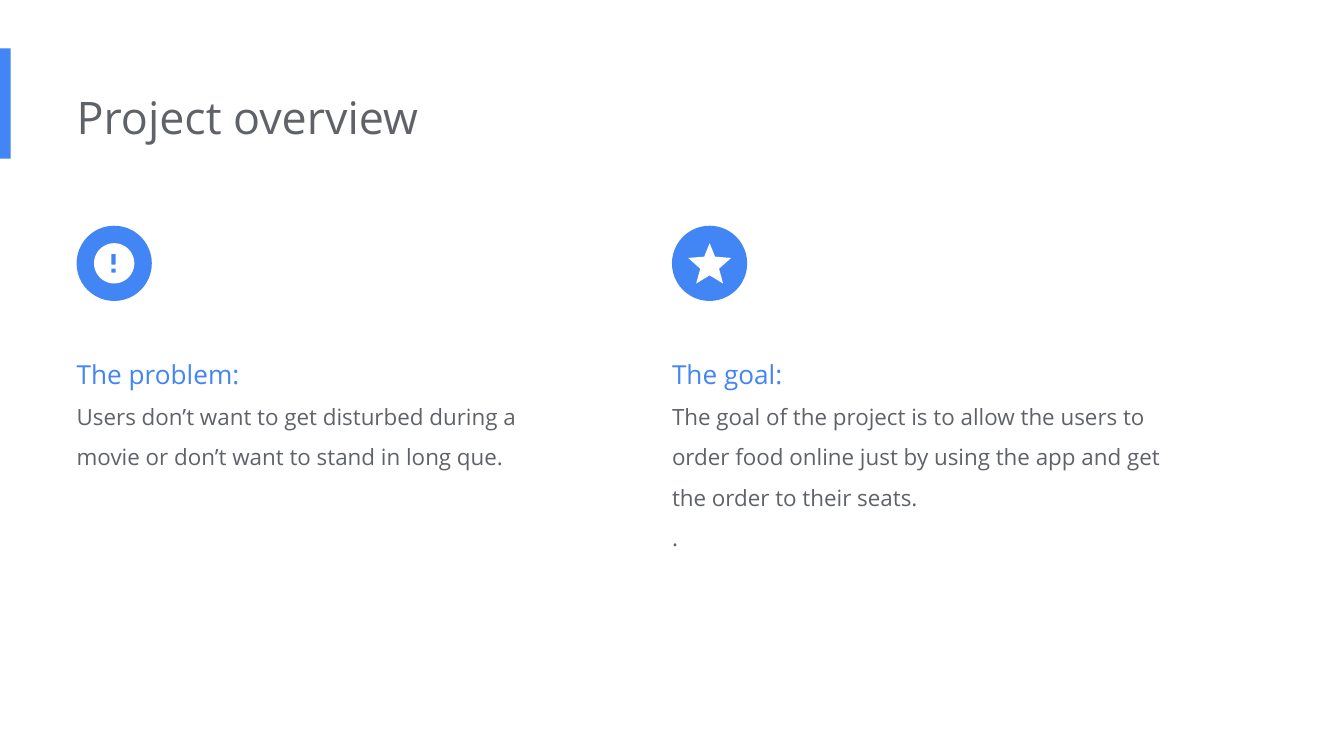
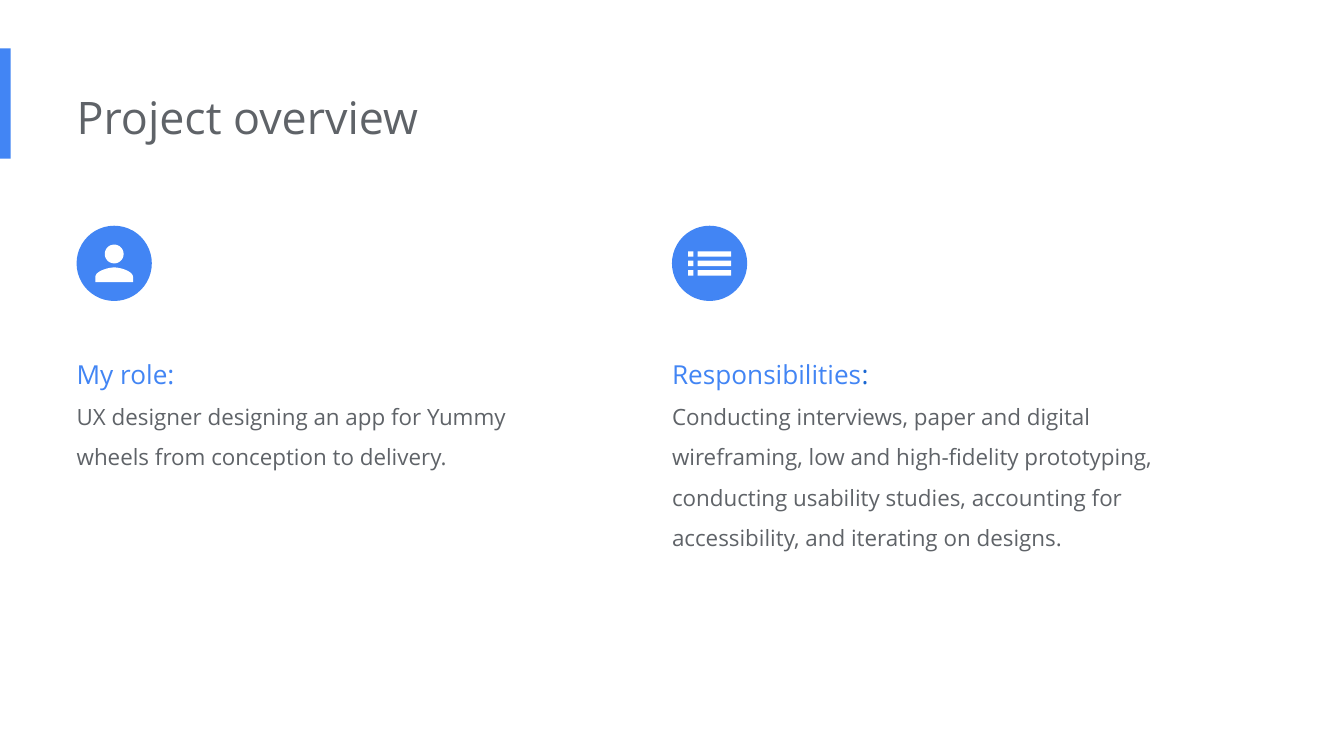
import math
from dataclasses import dataclass

from lxml import etree
from pptx import Presentation
from pptx.dml.color import RGBColor
from pptx.enum.shapes import MSO_SHAPE
from pptx.enum.text import MSO_ANCHOR, MSO_AUTO_SIZE, PP_ALIGN
from pptx.oxml.ns import qn
from pptx.util import Inches, Pt

RECTANGLE, OVAL = MSO_SHAPE.RECTANGLE, MSO_SHAPE.OVAL
TOP, LEFT = MSO_ANCHOR.TOP, PP_ALIGN.LEFT
FIT_SHAPE = MSO_AUTO_SIZE.SHAPE_TO_FIT_TEXT

BLUE = RGBColor(0x42, 0x85, 0xF4)
DARK_BLUE = RGBColor(0x19, 0x67, 0xD2)
GRAY = RGBColor(0x5F, 0x63, 0x68)
WHITE = RGBColor(0xFF, 0xFF, 0xFF)
FONT = "Open Sans"

SLIDE_WIDTH = Inches(10)
SLIDE_HEIGHT = SLIDE_WIDTH * 9 // 16
TWO_CONTENT = 3
COLUMN_LEFTS = (0.57, 5.0)
CIRCLE_TOP, CIRCLE_SIZE = 1.68, 0.56

# Placeholder index: left, top, width, height in inches
FRAMES = {
    0: (0.57, 0.57, 6.73, 0.61),
    1: (COLUMN_LEFTS[0], 2.45, 3.77, 1.16),
    2: (COLUMN_LEFTS[1], 2.45, 3.77, 1.77),
}

Point = tuple[float, float]
Contour = list[Point]


@dataclass(frozen=True)
class Run:
    text: str
    size: int
    color: RGBColor


@dataclass(frozen=True)
class Column:
    icon: list[Contour]
    paragraphs: list[list[Run]]


@dataclass(frozen=True)
class Overview:
    title: str
    columns: tuple[Column, Column]


# Icon outlines, in inches from the centre of their circle
def box(x: float, y: float, w: float, h: float) -> Contour:
    return [(x, y), (x, y + h), (x + w, y + h), (x + w, y)]


def circle(cy: float, radius: float, steps: int = 48) -> Contour:
    angles = [2 * math.pi * i / steps for i in range(steps)]
    return [(radius * math.cos(a), cy + radius * math.sin(a)) for a in angles]


def curve(a: Point, b: Point, c: Point, d: Point, steps: int = 16) -> Contour:
    points = []
    for i in range(steps + 1):
        t = i / steps
        weights = ((1 - t) ** 3, 3 * t * (1 - t) ** 2, 3 * t * t * (1 - t), t ** 3)
        points.append((sum(w * q[0] for w, q in zip(weights, (a, b, c, d))),
                       sum(w * q[1] for w, q in zip(weights, (a, b, c, d)))))
    return points


def mirrored(half: Contour) -> Contour:
    return half + [(-x, y) for x, y in reversed(half)]


ALERT = [circle(0, 0.15), box(-0.02, -0.07, 0.03, 0.08), box(-0.02, 0.04, 0.03, 0.03)]
STAR = [mirrored([(0, 0.09), (0.1, 0.15), (0.07, 0.04),
                  (0.16, -0.04), (0.04, -0.05), (0, -0.15)])]
PERSON = [circle(-0.07, 0.07),
          mirrored(curve((0, 0.03), (0.05, 0.03), (0.14, 0.06), (0.14, 0.1))
                   + [(0.14, 0.14)])]
LIST = [box(x, -0.09 + 0.07 * row, w, 0.04)
        for x, w in ((-0.16, 0.04), (-0.09, 0.25)) for row in range(3)]


# Slide content
def heading(text: str) -> Run:
    return Run(text, 14, BLUE)


def detail(text: str) -> list[Run]:
    return [Run(text, 12, GRAY)]


SLIDES = [
    Overview("Project overview", (
        Column(ALERT, [
            [heading("The problem:")],
            detail("Users don’t want to get disturbed during a movie or "
                   "don’t want to stand in long que."),
        ]),
        Column(STAR, [
            [heading("The goal:")],
            detail("The goal of the project is to allow the users to order food "
                   "online just by using the app and get the order to their seats."),
            detail("."),
        ]),
    )),
    Overview("Project overview", (
        Column(PERSON, [
            [heading("My role:")],
            detail("UX designer designing an app for Yummy wheels from "
                   "conception to delivery."),
        ]),
        Column(LIST, [
            [heading("Responsibilities"), Run(":", 14, DARK_BLUE)],
            detail("Conducting interviews, paper and digital wireframing, low and "
                   "high-fidelity prototyping, conducting usability studies, "
                   "accounting for accessibility, and iterating on designs."),
        ]),
    )),
]


# Drawing
def paint(sp, color: RGBColor) -> None:
    sp.fill.solid()
    sp.fill.fore_color.rgb = color
    sp.line.fill.background()
    sp.shadow.inherit = False


def write(sp, paragraphs: list[list[Run]], spacing: float) -> None:
    tf = sp.text_frame
    tf.word_wrap = True
    tf.auto_size = FIT_SHAPE
    tf.vertical_anchor = TOP
    tf.margin_left = 0
    tf.margin_top = tf.margin_right = tf.margin_bottom = Inches(0.1)
    for i, runs in enumerate(paragraphs):
        p = tf.add_paragraph() if i else tf.paragraphs[0]
        p.alignment = LEFT
        p.line_spacing = spacing
        p.space_before = Pt(0)
        pPr = p._p.get_or_add_pPr()
        pPr.set("marL", "0")
        pPr.set("indent", "0")
        etree.SubElement(pPr, qn("a:buNone"))
        for run in runs:
            r = p.add_run()
            r.text = run.text
            r.font.name = FONT
            r.font.size = Pt(run.size)
            r.font.color.rgb = run.color


def add_icon(slide, left: float, contours: list[Contour]) -> None:
    size = Inches(CIRCLE_SIZE)
    disc = slide.shapes.add_shape(OVAL, Inches(left), Inches(CIRCLE_TOP), size, size)
    paint(disc, BLUE)
    cx, cy = left + CIRCLE_SIZE / 2, CIRCLE_TOP + CIRCLE_SIZE / 2
    placed = [[(Inches(cx + x), Inches(cy + y)) for x, y in c] for c in contours]
    builder = slide.shapes.build_freeform(*placed[0][0])
    for i, points in enumerate(placed):
        if i:
            builder.move_to(*points[0])
        builder.add_line_segments(points[1:], close=True)
    paint(builder.convert_to_shape(), WHITE)


def set_frames(layout) -> None:
    for sp in layout.placeholders:
        frame = FRAMES.get(sp.placeholder_format.idx)
        if frame:
            sp.left, sp.top, sp.width, sp.height = map(Inches, frame)
        else:
            sp.element.getparent().remove(sp.element)


def add_band(slide) -> None:
    """Draw the accent band and hand it to the layout, which all slides share."""
    band = slide.shapes.add_shape(RECTANGLE, 0, Inches(0.36), Inches(0.08), Inches(0.82))
    paint(band, BLUE)
    band.element.nvSpPr.cNvPr.set("id", "20")
    slide.slide_layout.shapes.element.append(band.element)


def add_overview(prs, layout, overview: Overview):
    slide = prs.slides.add_slide(layout)
    write(slide.shapes.title, [[Run(overview.title, 24, GRAY)]], 1.0)
    for i, (left, column) in enumerate(zip(COLUMN_LEFTS, overview.columns), 1):
        write(slide.placeholders[i], column.paragraphs, 1.5)
        add_icon(slide, left, column.icon)
    return slide


def main() -> None:
    prs = Presentation()
    prs.slide_width, prs.slide_height = SLIDE_WIDTH, SLIDE_HEIGHT
    layout = prs.slide_layouts[TWO_CONTENT]
    set_frames(layout)
    slides = [add_overview(prs, layout, overview) for overview in SLIDES]
    add_band(slides[0])
    prs.save("out.pptx")


if __name__ == "__main__":
    main()
